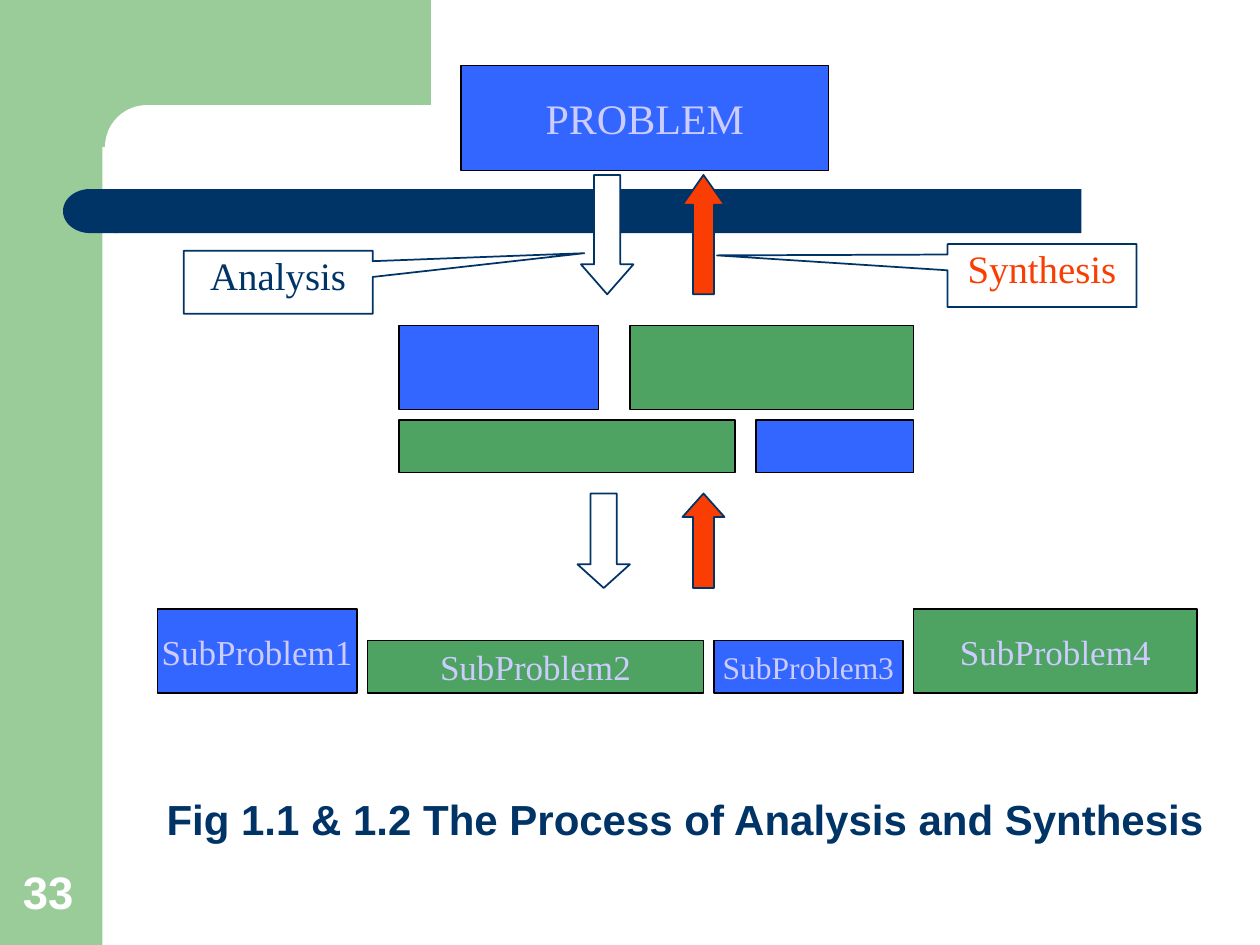
from pptx import Presentation
from pptx.dml.color import RGBColor
from pptx.enum.shapes import MSO_SHAPE
from pptx.enum.text import MSO_ANCHOR, MSO_AUTO_SIZE, PP_ALIGN
from pptx.util import Pt

CAPTION = "Fig 1.1 & 1.2 The Process of Analysis and Synthesis"
PAGE_NUMBER = "33"

PROBLEM = ("PROBLEM", "blue", 210, 60, 24)
PARTS = [
    (186, [(228, 114, 48, "blue"), (360, 162, 48, "green")]),
    (240, [(228, 192, 30, "green"), (432, 90, 30, "blue")]),
]
SUBPROBLEMS = [
    ("SubProblem1", "blue", 114, 48, 20),
    ("SubProblem2", "green", 192, 30, 20),
    ("SubProblem3", "blue", 108, 30, 18),
    ("SubProblem4", "green", 162, 48, 20),
]
SUBPROBLEM_LEFT, SUBPROBLEM_BOTTOM, SUBPROBLEM_GAP = 90, 396, 6

ARROWS = [
    (MSO_SHAPE.DOWN_ARROW, "white", (332, 100, 30, 68.2), 0.57),
    (MSO_SHAPE.DOWN_ARROW, "white", (330, 282, 30, 54), 0.45),
    (MSO_SHAPE.UP_ARROW, "red", (390, 282, 24, 54), 0.56),
    (MSO_SHAPE.UP_ARROW, "red", (390, 100, 24, 68.2), 0.71),
]
CALLOUTS = [
    ("Analysis", "navy", (105, 143.3, 108, 36), (1.62, -0.46)),
    ("Synthesis", "red", (541.5, 139.5, 108, 36), (-1.72, -0.32)),
]
BACKDROP = [
    (MSO_SHAPE.RECTANGLE, "sage", (0, 0, 58.5, 540), [], 0),
    (MSO_SHAPE.RECTANGLE, "sage", (52.5, 0, 193.8, 84), [], 0),
    (MSO_SHAPE.ROUNDED_RECTANGLE, "white", (60, 60, 402, 48), [0.5], 0),
    (MSO_SHAPE.ROUNDED_RECTANGLE, "navy", (66, 108, 552, 25.2), [0], 0),
    (MSO_SHAPE.FLOWCHART_DELAY, "navy", (36, 108, 31, 25.2), [], 180),
]

THEME = {
    "colors": {
        "sage": "99CC99", "navy": "003366", "white": "FFFFFF", "blue": "3366FF",
        "green": "4EA262", "red": "FA3D02", "lavender": "CCCCFF", "black": "000000",
    },
    "sans": "Arial",
    "serif": "Times New Roman",
    "sizes": {"caption": 24, "page": 26, "callout": 22.2},
}


def color(name):
    return RGBColor.from_string(THEME["colors"][name])


def add_figure(slide, kind, box, fill, outline=None, weight=1, adjustments=()):
    figure = slide.shapes.add_shape(kind, *map(Pt, box))
    figure.shadow.inherit = False
    figure.fill.solid()
    figure.fill.fore_color.rgb = color(fill)
    if outline:
        figure.line.color.rgb = color(outline)
        figure.line.width = Pt(weight)
    else:
        figure.line.fill.background()
    for index, value in enumerate(adjustments):
        figure.adjustments[index] = value
    return figure


def write(shape, text, face, size, ink, align, anchor, wrap=True, spacing=None, bold=False):
    frame = shape.text_frame
    frame.auto_size = MSO_AUTO_SIZE.NONE
    frame.word_wrap = wrap
    frame.vertical_anchor = anchor
    frame.text = text
    paragraph = frame.paragraphs[0]
    paragraph.alignment = align
    if spacing:
        paragraph.line_spacing = spacing
    font = paragraph.font
    font.name, font.size, font.bold = THEME[face], Pt(size), bold
    font.color.rgb = color(ink)


def add_block(slide, box, fill, label=None, size=None):
    block = add_figure(slide, MSO_SHAPE.RECTANGLE, box, fill, "black", 0.75)
    if label:
        write(block, label, "serif", size, "lavender", PP_ALIGN.CENTER, MSO_ANCHOR.MIDDLE, wrap=False)


def main():
    deck = Presentation()
    deck.slide_width, deck.slide_height = Pt(720), Pt(540)
    slide = deck.slides.add_slide(deck.slide_layouts[5])
    sizes = THEME["sizes"]

    for kind, fill, box, adjustments, turn in BACKDROP:
        add_figure(slide, kind, box, fill, adjustments=adjustments).rotation = turn

    page = slide.shapes.add_textbox(Pt(6), Pt(489.6), Pt(46), Pt(39))
    write(page, PAGE_NUMBER, "sans", sizes["page"], "white", PP_ALIGN.LEFT, MSO_ANCHOR.BOTTOM, bold=True)

    caption = slide.shapes.title
    caption.left, caption.top, caption.width, caption.height = map(Pt, (88, 438, 624, 48))
    write(caption, CAPTION, "sans", sizes["caption"], "navy", PP_ALIGN.LEFT, MSO_ANCHOR.BOTTOM,
          spacing=0.9, bold=True)

    label, fill, width, height, size = PROBLEM
    add_block(slide, (263.5, 37.5, width, height), fill, label, size)

    for top, row in PARTS:
        for left, width, height, fill in row:
            add_block(slide, (left, top, width, height), fill)

    left = SUBPROBLEM_LEFT
    for label, fill, width, height, size in SUBPROBLEMS:
        add_block(slide, (left, SUBPROBLEM_BOTTOM - height, width, height), fill, label, size)
        left += width + SUBPROBLEM_GAP

    for kind, fill, box, head in ARROWS:
        add_figure(slide, kind, box, fill, "navy", adjustments=(0.5, head))

    for label, ink, box, tip in CALLOUTS:
        callout = add_figure(slide, MSO_SHAPE.RECTANGULAR_CALLOUT, box, "white", "navy", adjustments=tip)
        write(callout, label, "serif", sizes["callout"], ink, PP_ALIGN.CENTER, MSO_ANCHOR.TOP, spacing=0.9)

    deck.save("out.pptx")


if __name__ == "__main__":
    main()
